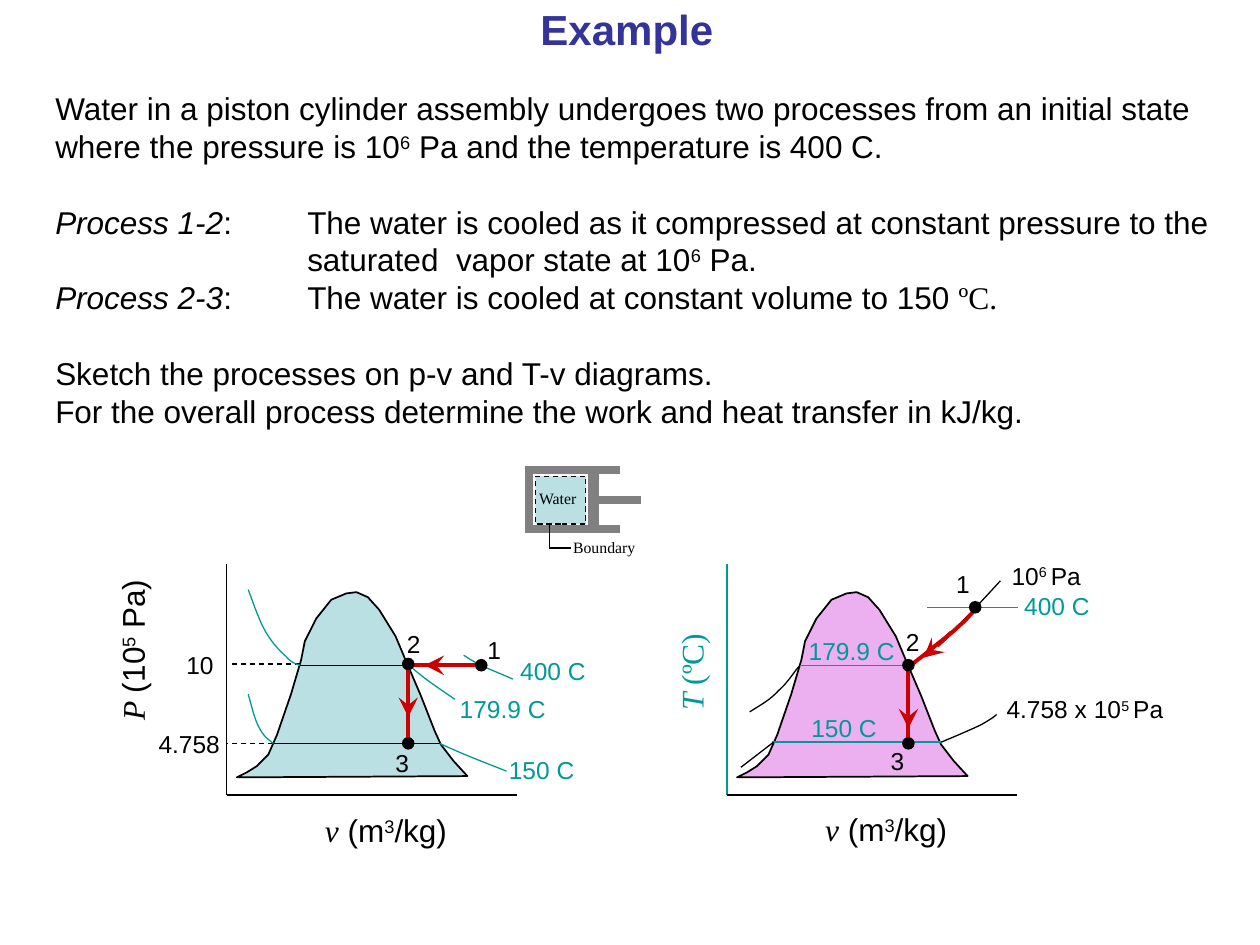
import pptx
import pptx.dml.color
import pptx.enum.dml
import pptx.enum.shapes
import pptx.enum.text
import pptx.util
from lxml import etree
from pptx.oxml.ns import qn

BLACK, TEAL, RED, GRAY = "000000", "009999", "CC0000", "808080"
WATER, PINK, TITLE_BLUE = "BBE0E3", "ECAFEF", "333399"
SERIF = {"font": "Times New Roman"}
VARIABLE = {"font": "Times New Roman", "italic": True}
ITALIC = {"italic": True}
CM_PER_INCH = 2.54

# All positions are inches on the slide. In texts, ^ opens and closes a superscript.
# A paragraph is a list of (text, format) runs.
BODY = [
    [("Water in a piston cylinder assembly undergoes two processes from an initial state", {})],
    [("where the pressure is 10^6^ Pa and the temperature is 400 C.", {})],
    [("Process 1-2", ITALIC),
     (":\tThe water is cooled as it compressed at constant pressure to the", {})],
    [("saturated  vapor state at 10^6^ Pa.", {})],
    [("Process 2-3", ITALIC),
     (":\tThe water is cooled at constant volume to 150 ", {}), ("ºC.", SERIF)],
    [("Sketch the processes on p-v and T-v diagrams.", {})],
    [("For the overall process determine the work and heat transfer in kJ/kg.", {})],
]
BLOCK_STARTS = (2, 5)
INDENTS = {2: (2, -2), 3: (2, 0), 4: (2, -2)}  # paragraph: left margin, first line

PISTON_LINES = [  # start, end, colour, width
    ((4.92, 3.73), (4.17, 3.73), GRAY, 4.5),
    ((4.92, 4.2), (4.17, 4.2), GRAY, 4.5),
    ((4.2, 3.74), (4.2, 4.19), GRAY, 4.5),
    ((4.71, 3.75), (4.71, 4.18), GRAY, 6),
    ((4.75, 3.97), (5.09, 3.97), GRAY, 4.5),
    ((4.36, 4.15), (4.36, 4.35), BLACK, 0.75),
    ((4.36, 4.35), (4.53, 4.35), BLACK, 0.75),
]
PISTON_LABELS = [("Water", (4.18, 3.83, 0.51, 0.25)), ("Boundary", (4.45, 4.22, 0.69, 0.25))]

AXIS_TOP, AXIS_HEIGHT, AXIS_WIDTH = 4.48, 1.83, 2.3
DOME = [  # measured from the top of the vertical axis
    (0.08, 1.69), (0.16, 1.65), (0.24, 1.6), (0.33, 1.51), (0.4, 1.35), (0.51, 1.03),
    (0.59, 0.76), (0.62, 0.61), (0.71, 0.43), (0.83, 0.28), (0.95, 0.23), (1.03, 0.22),
    (1.12, 0.26), (1.21, 0.36), (1.34, 0.57), (1.42, 0.76), (1.54, 1.04), (1.65, 1.32),
    (1.7, 1.43), (1.8, 1.56), (1.91, 1.68),
]
DOT_SIZE = 0.1

PV_DIAGRAM = {
    "axis_left": 1.8, "axis_color": BLACK, "dome_color": WATER,
    "lines": [
        ((2.38, 5.28), (3.82, 5.28), {}),
        ((3.5, 5.9), (2.17, 5.9), {}),
        ((2.17, 5.9), (1.8, 5.9), {"dashed": True}),
        ((2.38, 5.27), (1.81, 5.27), {"dashed": True}),
    ],
    "curves": [  # start, then three points for each Bezier section
        ([(3.24, 5.27), (3.34, 5.37), (3.48, 5.46), (3.61, 5.55)], {"color": TEAL}),
        ([(4.07, 5.39), (3.94, 5.33), (3.81, 5.29), (3.68, 5.2)], {"color": TEAL}),
        ([(4.02, 6.12), (3.79, 6.03), (3.66, 5.98), (3.49, 5.9)], {"color": TEAL}),
        ([(2.38, 5.28), (2.35, 5.27), (2.31, 5.26), (2.27, 5.21), (2.22, 5.17), (2.15, 5.09),
          (2.1, 5), (2.05, 4.91), (1.99, 4.73), (1.97, 4.68)], {"color": TEAL}),
        ([(2.17, 5.9), (2.13, 5.87), (2.09, 5.84), (2.06, 5.78), (2.02, 5.71), (2, 5.61),
          (1.97, 5.51)], {"color": TEAL}),
    ],
    "process_lines": [
        ((3.24, 5.28), (3.24, 5.89), {"width": 2.25}),
        ((3.24, 5.41), (3.24, 5.69), {"arrow": True, "width": 2.25}),
        ((3.25, 5.28), (3.8, 5.28), {"width": 2.25}),
        ((3.69, 5.28), (3.37, 5.28), {"arrow": True, "width": 2.25}),
    ],
    "process_curves": [],
    "dots": [(3.82, 5.28), (3.24, 5.9), (3.24, 5.27)],
    "labels": [
        ("1", (3.77, 4.99, 0.31), BLACK), ("2", (3.13, 4.94, 0.31), BLACK),
        ("3", (3.04, 5.89, 0.31), BLACK), ("400 C", (4.03, 5.16, 0.72), TEAL),
        ("179.9 C", (3.55, 5.46, 0.88), TEAL), ("150 C", (3.94, 5.94, 0.72), TEAL),
        ("10", (1.38, 5.11, 0.42), BLACK), ("4.758", (1.16, 5.74, 0.69), BLACK),
    ],
    "vertical_title": ([("P", VARIABLE), (" (10^5^ Pa)", {})], (0.38, 4.95, 1.34, 0.4)),
    "horizontal_title": (2.48, 6.39, 1.18, 0.4),
}
TV_DIAGRAM = {
    "axis_left": 5.77, "axis_color": TEAL, "dome_color": PINK,
    "lines": [
        ((6.35, 5.28), (7.23, 5.28), {"color": TEAL}),
        ((7.47, 5.89), (6.13, 5.89), {"color": TEAL}),
        ((7.36, 4.82), (8.08, 4.82), {"color": TEAL}),
        ((6.14, 5.89), (5.88, 6.09), {}),
    ],
    "curves": [
        ([(7.23, 5.27), (7.3, 5.23), (7.37, 5.18), (7.43, 5.13), (7.5, 5.07), (7.55, 5.02),
          (7.63, 4.94), (7.72, 4.85), (7.83, 4.73), (7.94, 4.61)], {}),
        ([(7.47, 5.89), (7.59, 5.84), (7.71, 5.79), (7.79, 5.75), (7.86, 5.71), (7.89, 5.69),
          (7.91, 5.67)], {}),
        ([(6.34, 5.29), (6.29, 5.35), (6.25, 5.42), (6.18, 5.48), (6.12, 5.55), (6.03, 5.6),
          (5.95, 5.65)], {}),
    ],
    "process_lines": [
        ((7.21, 5.28), (7.21, 5.9), {"width": 2.25}),
        ((7.21, 5.41), (7.21, 5.78), {"arrow": True, "width": 2.25}),
    ],
    "process_curves": [
        ([(7.55, 5.02), (7.47, 5.1), (7.4, 5.16), (7.33, 5.22)], {"arrow": True, "width": 2.25}),
        ([(7.24, 5.27), (7.28, 5.24), (7.32, 5.21), (7.38, 5.16), (7.44, 5.11), (7.56, 5.02),
          (7.61, 4.97), (7.67, 4.92), (7.69, 4.89), (7.72, 4.86)], {"width": 2.25}),
    ],
    "dots": [(7.74, 4.82), (7.21, 5.9), (7.21, 5.28)],
    "labels": [
        ("1", (7.49, 4.47, 0.31), BLACK), ("2", (7.09, 4.93, 0.31), BLACK),
        ("3", (6.97, 5.87, 0.31), BLACK), ("400 C", (8.03, 4.64, 0.72), TEAL),
        ("179.9 C", (6.32, 5, 0.88), TEAL), ("150 C", (6.34, 5.61, 0.72), TEAL),
        ("10^6 ^Pa", (7.93, 4.4, 0.76), BLACK), ("4.758 x 10^5 ^Pa", (7.89, 5.46, 1.45), BLACK),
    ],
    "vertical_title": ([("T ", VARIABLE), ("(ºC)", SERIF)], (5.04, 5.09, 0.89, 0.4)),
    "horizontal_title": (6.45, 6.38, 1.18, 0.4),
}


def lengths(*inches):
    return [pptx.util.Cm(value * CM_PER_INCH) for value in inches]


def rgb(color):
    return pptx.dml.color.RGBColor.from_string(color)


def write_text(shape, paragraphs, size=14, font="Arial", color=BLACK, bold=False, italic=False):
    frame = shape.text_frame
    frame.word_wrap = False
    if isinstance(paragraphs, str):
        paragraphs = [[(paragraphs, {})]]
    for index, runs in enumerate(paragraphs):
        paragraph = frame.add_paragraph() if index else frame.paragraphs[0]
        for text, style in runs:
            for position, part in enumerate(text.split("^")):
                if not part:
                    continue
                run = paragraph.add_run()
                run.text = part
                run.font.size = pptx.util.Pt(size)
                run.font.name = style.get("font", font)
                run.font.bold = bold
                run.font.italic = style.get("italic", italic)
                run.font.color.rgb = rgb(color)
                if position % 2:
                    run._r.get_or_add_rPr().set("baseline", "30000")


def add_text(shapes, place, paragraphs, rotation=0, **style):
    box = shapes.add_textbox(*lengths(*place))
    box.rotation = rotation
    write_text(box, paragraphs, **style)
    return box


def format_line(shape, color=BLACK, width=0.75, dashed=False, arrow=False):
    shape.line.color.rgb = rgb(color)
    shape.line.width = pptx.util.Pt(width)
    if dashed:
        shape.line.dash_style = pptx.enum.dml.MSO_LINE.DASH
    if arrow:
        etree.SubElement(shape.line._get_or_add_ln(), qn("a:tailEnd"),
                         type="stealth", w="lg", len="lg")


def add_line(shapes, start, end, **style):
    straight = pptx.enum.shapes.MSO_CONNECTOR.STRAIGHT
    line = shapes.add_connector(straight, *lengths(*start, *end))
    format_line(line, **style)
    etree.SubElement(line._element.spPr, qn("a:effectLst"))


def fill_shape(shape, color):
    shape.shadow.inherit = False
    if color:
        shape.fill.solid()
        shape.fill.fore_color.rgb = rgb(color)
    else:
        shape.fill.background()


def add_outline(shapes, points, fill=None, **style):
    corners = [lengths(*point) for point in points]
    builder = shapes.build_freeform(*corners[0])
    builder.add_line_segments(corners[1:], close=fill is not None)
    outline = builder.convert_to_shape()
    fill_shape(outline, fill)
    format_line(outline, **style)


def bezier_points(controls, steps=8):
    points = [controls[0]]
    for first in range(0, len(controls) - 1, 3):
        section = controls[first:first + 4]
        for t in (step / steps for step in range(1, steps + 1)):
            weights = ((1 - t) ** 3, 3 * t * (1 - t) ** 2, 3 * t * t * (1 - t), t ** 3)
            points.append([sum(w * p[axis] for w, p in zip(weights, section)) for axis in (0, 1)])
    return points


def draw_piston(shapes):
    water = shapes.add_shape(pptx.enum.shapes.MSO_SHAPE.RECTANGLE, *lengths(4.25, 3.78, 0.4, 0.38))
    fill_shape(water, WATER)
    format_line(water, dashed=True)
    for start, end, color, width in PISTON_LINES:
        add_line(shapes, start, end, color=color, width=width)
    for text, place in PISTON_LABELS:
        add_text(shapes, place, text, size=9, **SERIF)


def draw_diagram(shapes, diagram):
    left, bottom = diagram["axis_left"], AXIS_TOP + AXIS_HEIGHT
    add_line(shapes, (left, AXIS_TOP), (left, bottom), color=diagram["axis_color"])
    add_line(shapes, (left, bottom), (left + AXIS_WIDTH, bottom))
    add_outline(shapes, [(left + x, AXIS_TOP + y) for x, y in DOME],
                fill=diagram["dome_color"], width=1)
    for prefix, base in (("", {}), ("process_", {"color": RED})):
        for start, end, style in diagram[prefix + "lines"]:
            add_line(shapes, start, end, **{**base, **style})
        for controls, style in diagram[prefix + "curves"]:
            add_outline(shapes, bezier_points(controls), **{**base, **style})
    for x, y in diagram["dots"]:
        dot = shapes.add_shape(pptx.enum.shapes.MSO_SHAPE.OVAL, *lengths(
            x - DOT_SIZE / 2, y - DOT_SIZE / 2, DOT_SIZE, DOT_SIZE))
        fill_shape(dot, BLACK)
        dot.line.fill.background()
    for text, place, color in diagram["labels"]:
        add_text(shapes, (*place, 0.33), text, color=color)
    runs, place = diagram["vertical_title"]
    add_text(shapes, place, [runs], rotation=270, size=18, color=diagram["axis_color"])
    add_text(shapes, diagram["horizontal_title"], [[("v", VARIABLE), (" (m^3^/kg)", {})]], size=18)


def main():
    presentation = pptx.Presentation()
    presentation.slide_width, presentation.slide_height = lengths(10, 7.5)
    slide = presentation.slides.add_slide(presentation.slide_layouts[5])
    title = slide.shapes.title
    title.left, title.top, title.width, title.height = lengths(4.19, -0.02, 1.57, 0.5)
    write_text(title, "Example", size=24, color=TITLE_BLUE, bold=True)
    title.text_frame.margin_left = title.text_frame.margin_right = 0
    title.text_frame.auto_size = pptx.enum.text.MSO_AUTO_SIZE.NONE

    body = add_text(slide.shapes, (0.34, 0.66, 9.42, 2.8), BODY, size=18)
    for index, paragraph in enumerate(body.text_frame.paragraphs):
        paragraph.line_spacing = pptx.util.Pt(21.6)
        if index in BLOCK_STARTS:
            paragraph.space_before = pptx.util.Pt(21.6)
        if index in INDENTS:
            margin, first_line = lengths(*INDENTS[index])
            properties = paragraph._p.get_or_add_pPr()
            properties.set("marL", str(margin))
            properties.set("indent", str(first_line))

    draw_piston(slide.shapes.add_group_shape().shapes)
    for diagram in (PV_DIAGRAM, TV_DIAGRAM):
        draw_diagram(slide.shapes.add_group_shape().shapes, diagram)
    presentation.save("out.pptx")


if __name__ == "__main__":
    main()
